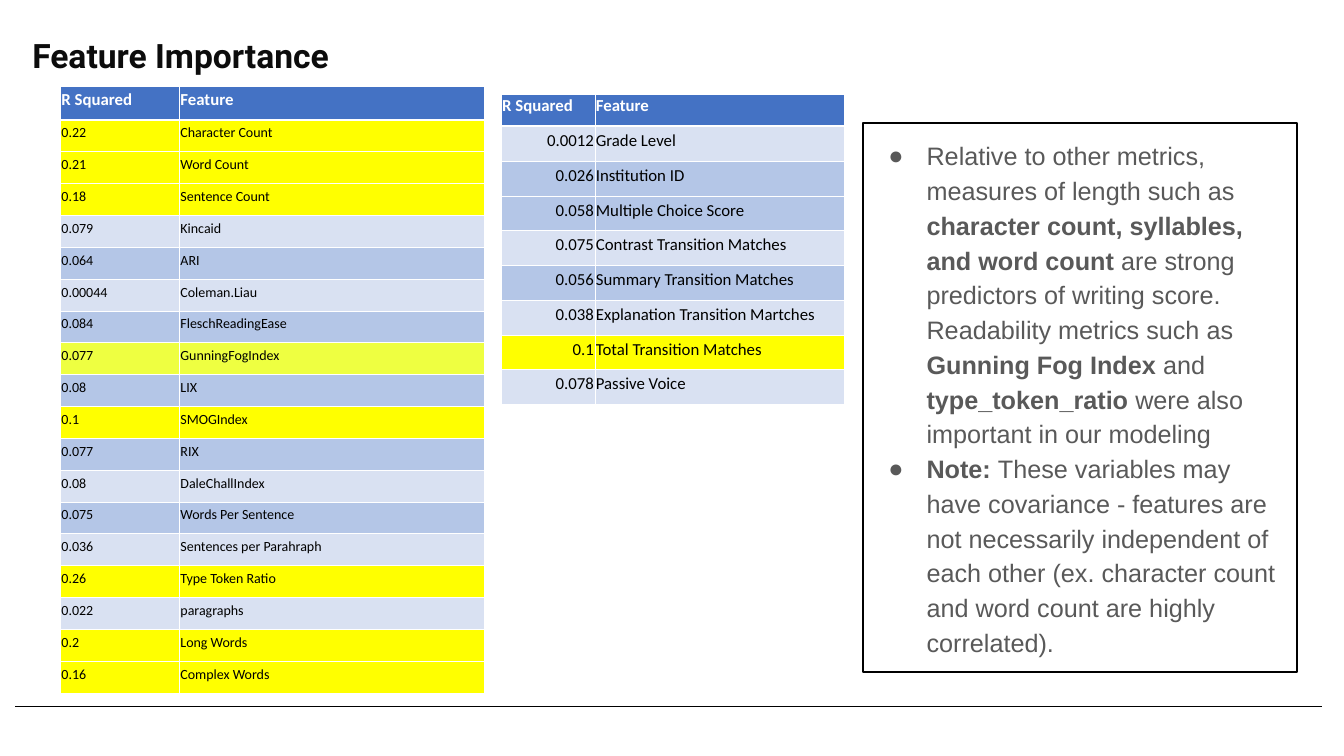
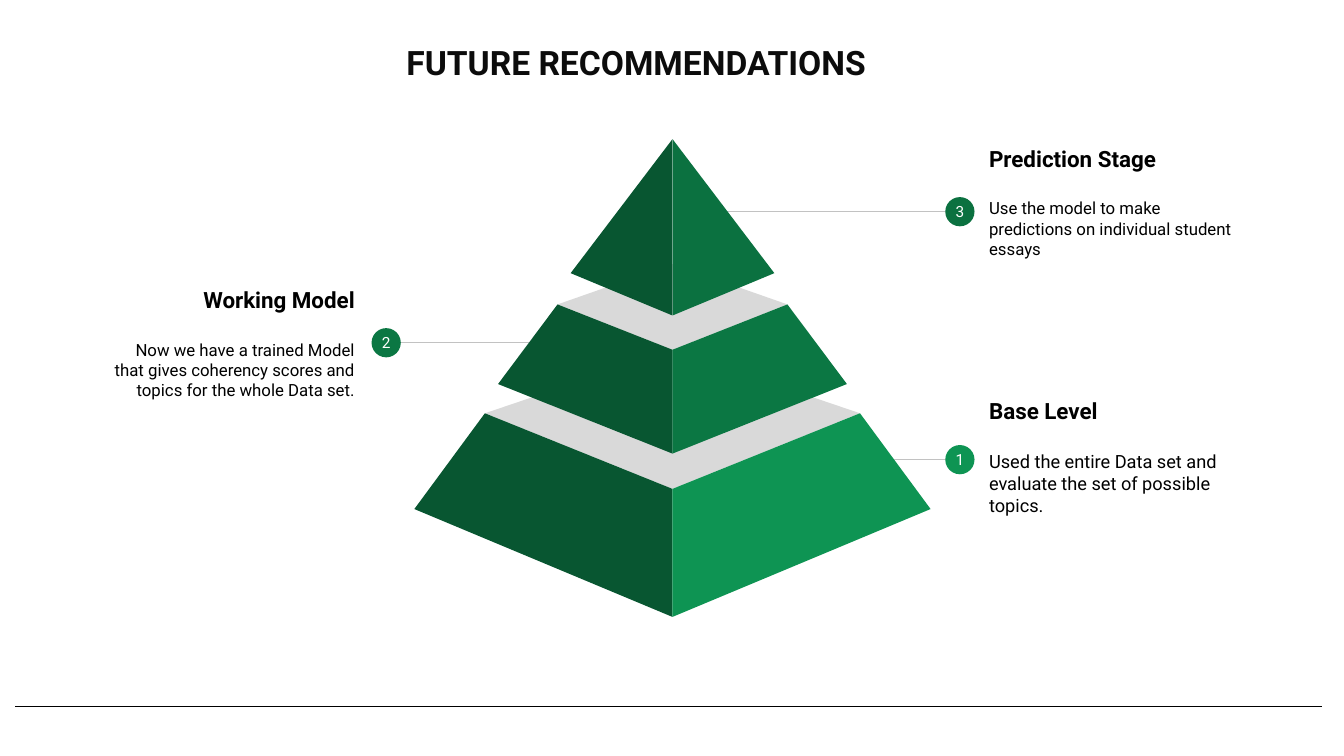
"""Build the feature importance and future recommendations slides."""
from dataclasses import dataclass
from typing import NamedTuple

from lxml.etree import SubElement as Sub
from pptx import Presentation
from pptx.dml.color import RGBColor as RGB
from pptx.enum.shapes import MSO_CONNECTOR as Conn, MSO_SHAPE as Kind
from pptx.enum.text import MSO_ANCHOR as Anchor, MSO_AUTO_SIZE as Fit, PP_ALIGN as Align
from pptx.oxml.ns import qn
from pptx.util import Inches, Pt


@dataclass(frozen=True)
class Theme:
    head: str = "Roboto"
    body: str = "Arial"
    grid: str = "Calibri"
    title: str = "0C0C0C"
    black: str = "000000"
    white: str = "FFFFFF"
    grey: str = "595959"
    wire: str = "C2C2C2"
    lid: str = "D9D9D9"
    dark: str = "085631"
    blue: str = "4472C4"
    pale: str = "D9E1F2"
    mid: str = "B4C6E7"
    gold: str = "FFFF00"
    lime: str = "EEFF41"
    big: float = 24
    text: float = 18
    sub: float = 16
    cell: float = 12
    mark: float = 11
    tiny: float = 10


T = Theme()


class Row(NamedTuple):
    score: str
    name: str
    fill: str


class Grid(NamedTuple):
    left: float
    top: float
    cols: tuple[float, float]
    head: float
    high: float
    size: float
    aligns: tuple[Align, Align]
    rows: list[Row]


class Tier(NamedTuple):
    fill: str
    inner: float
    outer: float
    back: float
    rim: float
    front: float
    low: float
    foot: float


class Note(NamedTuple):
    mark: str
    head: str
    text: str
    size: float
    left: float
    top: float
    align: Align
    edge: float
    dot: float
    mid: float
    fill: str


LEFT = Grid(0.6, 0.86, (1.18, 3.02), 0.33, 6.02, T.tiny, (Align.JUSTIFY, Align.JUSTIFY), [
    Row("0.22", "Character Count", T.gold),
    Row("0.21", "Word Count", T.gold),
    Row("0.18", "Sentence Count", T.gold),
    Row("0.079", "Kincaid", T.pale),
    Row("0.064", "ARI", T.mid),
    Row("0.00044", "Coleman.Liau", T.pale),
    Row("0.084", "FleschReadingEase", T.mid),
    Row("0.077", "GunningFogIndex", T.lime),
    Row("0.08", "LIX", T.mid),
    Row("0.1", "SMOGIndex", T.gold),
    Row("0.077", "RIX", T.mid),
    Row("0.08", "DaleChallIndex", T.pale),
    Row("0.075", "Words Per Sentence", T.mid),
    Row("0.036", "Sentences per Parahraph", T.pale),
    Row("0.26", "Type Token Ratio", T.gold),
    Row("0.022", "paragraphs", T.pale),
    Row("0.2", "Long Words", T.gold),
    Row("0.16", "Complex Words", T.gold),
])
RIGHT = Grid(4.97, 0.94, (0.93, 2.47), 0.31, 3.07, T.cell, (Align.RIGHT, Align.LEFT), [
    Row("0.0012", "Grade Level", T.pale),
    Row("0.026", "Institution ID", T.mid),
    Row("0.058", "Multiple Choice Score", T.mid),
    Row("0.075", "Contrast Transition Matches", T.pale),
    Row("0.056", "Summary Transition Matches", T.mid),
    Row("0.038", "Explanation Transition Martches", T.pale),
    Row("0.1", "Total Transition Matches", T.gold),
    Row("0.078", "Passive Voice", T.pale),
])
POINTS = [
    [("Relative to other metrics, measures of length such as ", False),
     ("character count, syllables, and word count", True),
     (" are strong predictors of writing score. Readability metrics such as ", False),
     ("Gunning Fog Index", True), (" and ", False), ("type_token_ratio", True),
     (" were also important in our modeling", False)],
    [("Note: ", True),
     ("These variables may have covariance - features are not necessarily independent of "
      "each other (ex. character count and word count are highly correlated).", False)],
]
AXIS = 6.67
TIERS = [
    Tier("0E9453", 1.86, 2.56, 3.47, 4.1, 4.85, 5.05, 6.12),
    Tier("0B7743", 1.14, 1.73, 2.62, 3.02, 3.47, 3.81, 4.5),
    Tier("0B7140", 0, 1.01, 1.38, 1.38, 1.38, 2.71, 3.13),
]
NOTES = [
    Note("1", "Base Level",
         "Used the entire Data set and evaluate the set of possible topics.",
         13, 9.68, 3.52, Align.LEFT, 8.8, 9.52, 4.56, TIERS[0].fill),
    Note("2", "Working Model",
         "Now we have a trained Model that gives coherency scores and topics for the whole Data set.",
         12, 0.93, 2.39, Align.RIGHT, 5.29, 3.83, 3.4, TIERS[1].fill),
    Note("3", "Prediction Stage",
         "Use the model to make predictions on individual student essays",
         12, 9.68, 0.99, Align.LEFT, 7.16, 9.52, 2.1, TIERS[2].fill),
]


def write(par, text: str, *, size: float, font: str = T.head, color: str = T.black,
          bold: bool = False, align: Align = Align.LEFT, lead: float = 1, gap: float = 0) -> None:
    run = par.add_run()
    run.text = text
    run.font.size, run.font.name, run.font.bold = Pt(size), font, bold
    run.font.color.rgb = RGB.from_string(color)
    par.alignment, par.line_spacing = align, lead
    par.space_before, par.space_after = Pt(gap), Pt(0)


def place(shape, left: float, top: float, wide: float, high: float) -> None:
    shape.left, shape.top = Inches(left), Inches(top)
    shape.width, shape.height = Inches(wide), Inches(high)


def frame(shape, pad: float, anchor: Anchor):
    box = shape.text_frame
    box.word_wrap, box.auto_size, box.vertical_anchor = True, Fit.NONE, anchor
    box.margin_left = box.margin_right = box.margin_top = box.margin_bottom = Inches(pad)
    return box


def paint(shape, color: str) -> None:
    shape.shadow.inherit = False
    shape.fill.solid()
    shape.fill.fore_color.rgb = RGB.from_string(color)
    shape.line.fill.background()


def rule(slide, start: float, end: float, top: float, color: str):
    line = slide.shapes.add_connector(
        Conn.STRAIGHT, Inches(start), Inches(top), Inches(end), Inches(top))
    line.line.color.rgb, line.line.width = RGB.from_string(color), Pt(0.75)
    Sub(line.element.spPr, qn("a:effectLst"))
    return line


def title(slide, text: str, left: float, top: float, align: Align) -> None:
    shape = slide.shapes.title
    place(shape, left, top, 12.12, 1.26)
    write(frame(shape, 0.1, Anchor.TOP).paragraphs[0], text,
          size=T.big, color=T.title, bold=True, align=align)


def bullet(par) -> None:
    props = par._p.get_or_add_pPr()
    props.set("marL", str(Inches(0.5)))
    props.set("indent", str(-Inches(0.38)))
    Sub(Sub(props, qn("a:buClr")), qn("a:srgbClr"), val=T.grey)
    Sub(props, qn("a:buFont"), typeface=T.body)
    Sub(props, qn("a:buChar"), char="●")


def points(slide) -> None:
    shape = slide.placeholders[1]
    place(shape, 8.56, 1.22, 4.3, 5.45)
    shape.line.color.rgb, shape.line.width = RGB.from_string(T.black), Pt(1.5)
    box = frame(shape, 0.13, Anchor.TOP)
    for pos, parts in enumerate(POINTS):
        par = box.add_paragraph() if pos else box.paragraphs[0]
        bullet(par)
        for text, bold in parts:
            write(par, text, size=T.text, font=T.body, color=T.grey, bold=bold, lead=1.15)


def edge(cell, side: str, width: float) -> None:
    line = Sub(cell._tc.get_or_add_tcPr(), qn(f"a:{side}"), w=str(Pt(width)))
    Sub(Sub(line, qn("a:solidFill")), qn("a:srgbClr"), val=T.white)


def fill(cell, color: str, top: float, low: float):
    for side, width in (("lnL", 0.5), ("lnR", 0.5), ("lnT", top), ("lnB", low)):
        edge(cell, side, width)
    cell.fill.solid()
    cell.fill.fore_color.rgb = RGB.from_string(color)
    cell.margin_left = cell.margin_top = cell.margin_right = Inches(0.01)
    cell.margin_bottom = Inches(0.1)
    cell.vertical_anchor = Anchor.BOTTOM
    return cell.text_frame.paragraphs[0]


def table(slide, grid: Grid) -> None:
    count = len(grid.rows)
    tab = slide.shapes.add_table(
        count + 1, 2, Inches(grid.left), Inches(grid.top),
        Inches(sum(grid.cols)), Inches(grid.high)).table
    tab.horz_banding = False
    for col, wide in zip(tab.columns, grid.cols):
        col.width = Inches(wide)
    for pos, row in enumerate(tab.rows):
        row.height = Inches((grid.high - grid.head) / count if pos else grid.head)
    for col, text in enumerate(("R Squared", "Feature")):
        write(fill(tab.cell(0, col), T.blue, 0.5, 1.5), text,
              size=T.cell, font=T.grid, color=T.white, bold=True)
    for pos, row in enumerate(grid.rows, 1):
        for col, text in enumerate((row.score, row.name)):
            par = fill(tab.cell(pos, col), row.fill, 1.5 if pos == 1 else 0.5, 0.5)
            write(par, text, size=grid.size, font=T.grid,
                  align=grid.aligns[col], lead=1 if col else 1.15)


def shape(slide, color: str, *dots: tuple[float, float]) -> None:
    first, *rest = [(Inches(AXIS + dx), Inches(y)) for dx, y in dots]
    form = slide.shapes.build_freeform(*first)
    form.add_line_segments(rest, close=True)
    paint(form.convert_to_shape(), color)


def tier(slide, item: Tier) -> None:
    if item.inner:
        shape(slide, T.lid, (-item.inner, item.rim), (0, item.front),
              (item.inner, item.rim), (0, item.back))
    for side, color in ((-1, T.dark), (1, item.fill)):
        shape(slide, color, (side * item.inner, item.rim), (side * item.outer, item.low),
              (0, item.foot), (0, item.front))


def note(slide, item: Note) -> None:
    rule(slide, item.edge, item.dot, item.mid, T.wire)
    wide = 0.29
    dot = slide.shapes.add_shape(
        Kind.OVAL, Inches(item.dot - wide / 2), Inches(item.mid - wide / 2),
        Inches(wide), Inches(wide))
    paint(dot, item.fill)
    write(frame(dot, 0, Anchor.MIDDLE).paragraphs[0], item.mark,
          size=T.mark, color=T.white, align=Align.CENTER)
    area = slide.shapes.add_textbox(
        Inches(item.left), Inches(item.top), Inches(2.72), Inches(2.02))
    box = frame(area, 0.13, Anchor.MIDDLE)
    write(box.paragraphs[0], item.head, size=T.sub, bold=True, align=item.align)
    write(box.add_paragraph(), item.text, size=item.size, align=item.align, gap=19)


def main() -> None:
    deck = Presentation()
    deck.slide_width, deck.slide_height = Inches(13.33), Inches(7.5)

    first = deck.slides.add_slide(deck.slide_layouts[1])
    base = rule(first, 0.15, 13.11, 7.01, T.black)
    deck.slide_master.shapes.element.append(base.element)
    title(first, "Feature Importance", 0.22, 0.25, Align.LEFT)
    points(first)
    for grid in (LEFT, RIGHT):
        table(first, grid)

    last = deck.slides.add_slide(deck.slide_layouts[5])
    title(last, "FUTURE RECOMMENDATIONS", 0.25, 0.32, Align.CENTER)
    for item in NOTES:
        note(last, item)
    for item in TIERS:
        tier(last, item)
    deck.save("out.pptx")


if __name__ == "__main__":
    main()
